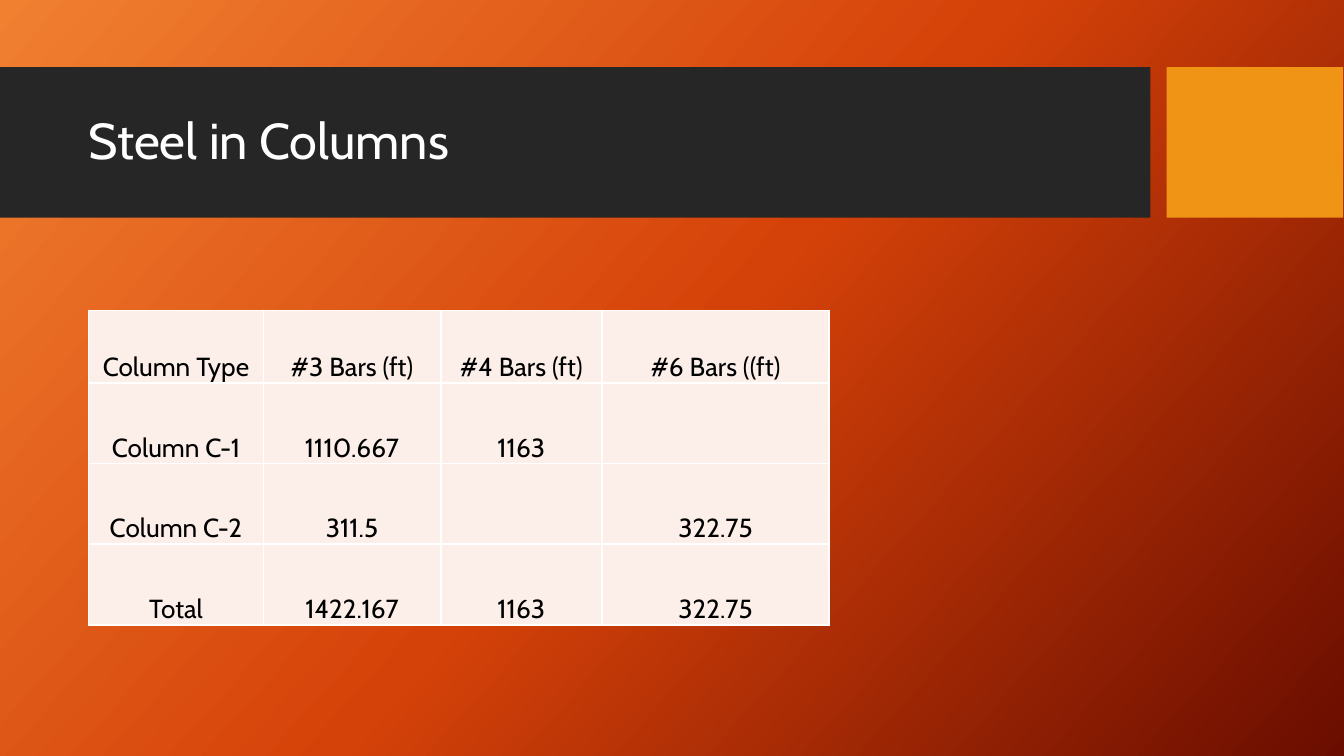
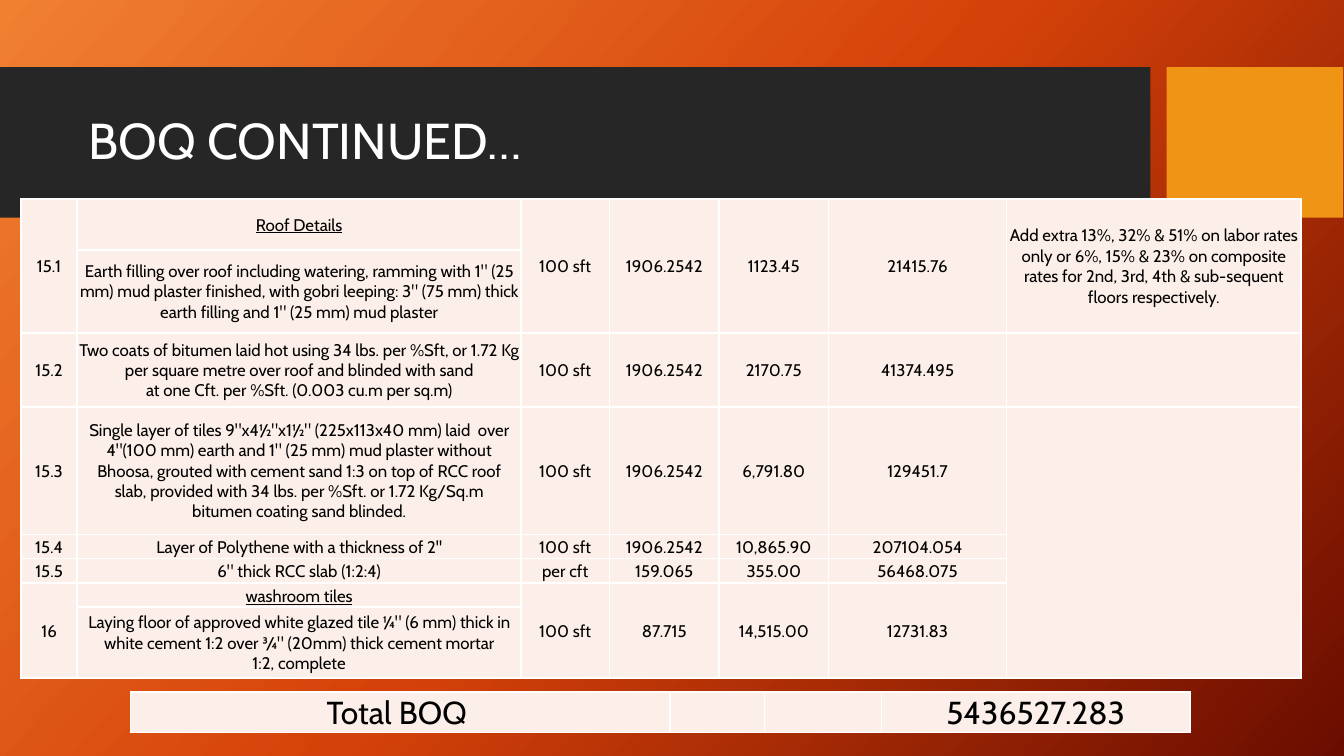
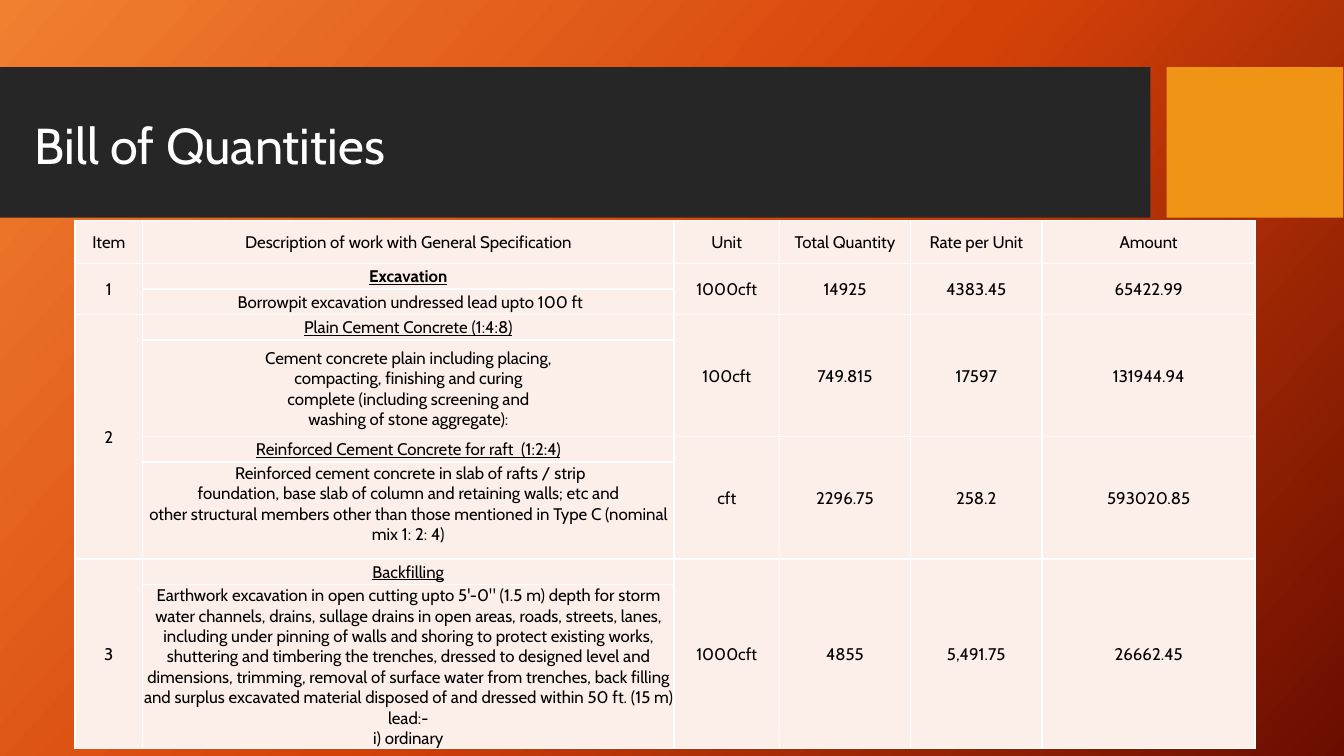
from copy import deepcopy

from lxml.etree import SubElement
from pptx import Presentation
from pptx.dml.color import RGBColor
from pptx.enum.shapes import MSO_SHAPE
from pptx.enum.text import MSO_ANCHOR, MSO_AUTO_SIZE, PP_ALIGN
from pptx.oxml.ns import qn
from pptx.util import Inches, Pt

WHITE = RGBColor(0xFF, 0xFF, 0xFF)
BLACK = RGBColor(0x00, 0x00, 0x00)
CHARCOAL = RGBColor(0x26, 0x26, 0x26)
AMBER = RGBColor(0xF0, 0x94, 0x15)
BLUSH = RGBColor(0xFC, 0xEE, 0xE8)
BACKDROP = (
    RGBColor(0xF1, 0x80, 0x31),
    RGBColor(0xD5, 0x42, 0x09),
    RGBColor(0x6A, 0x0D, 0x00),
)
FONT = "Cabin"
COLUMNS = 100
HEADING = {"underline": True}


def write(tf, text, size=9, color=BLACK, align=PP_ALIGN.CENTER,
          bold=False, underline=False, line_spacing=None):
    p = tf.paragraphs[0]
    p.text = text.replace("\n", "\v")
    p.alignment = align
    p.line_spacing = line_spacing
    for r in p.runs:
        r.font.name = FONT
        r.font.size = Pt(size)
        r.font.color.rgb = color
        r.font.bold = bold
        r.font.underline = underline
    for br in p._p.findall(qn("a:br")):
        br.append(deepcopy(p.runs[0].font._element))
    if not text:
        p._p.get_or_add_endParaRPr().set("sz", str(size * 100))


class Deck:
    def __init__(self):
        self.prs = Presentation()
        self.prs.slide_width = Inches(10)
        self.prs.slide_height = self.prs.slide_width * 9 // 16
        self.layout = self.prs.slide_layouts[5]
        self.s = None
        self.backdrop()

    def grid(self, *cells):
        return [round(n * self.prs.slide_width / COLUMNS) for n in cells]

    def backdrop(self):
        master = self.prs.slide_master
        fill = master.background.fill
        fill.gradient()
        stops = master.element.find(".//" + qn("a:gsLst"))
        stops.append(deepcopy(stops[-1]))
        for i, (stop, color) in enumerate(zip(fill.gradient_stops, BACKDROP)):
            stop.position = i / (len(BACKDROP) - 1)
            stop.color.rgb = color
        fill.gradient_angle = 360 - 42

    def band(self, at, color):
        sp = self.s.shapes.add_shape(MSO_SHAPE.RECTANGLE, *self.grid(*at))
        sp.shadow.inherit = False
        sp.fill.solid()
        sp.fill.fore_color.rgb = color
        sp.line.fill.background()
        self.layout.shapes.element.insert(2, sp._element)

    def slide(self, title, at=(5.6, 6.2, 78.9, 8.9)):
        first = self.s is None
        self.s = self.prs.slides.add_slide(self.layout)
        if first:
            self.band((0, 5, 85.6, 11.2), CHARCOAL)
            self.band((86.8, 5, 13.15, 11.2), AMBER)
        sp = self.s.shapes.title
        sp.left, sp.top, sp.width, sp.height = self.grid(*at)
        tf = sp.text_frame
        tf.auto_size = MSO_AUTO_SIZE.NONE
        tf.word_wrap = True
        tf.vertical_anchor = MSO_ANCHOR.MIDDLE
        write(tf, title, size=27, color=WHITE, align=PP_ALIGN.LEFT, line_spacing=0.9)

    def borders(self, cell):
        tc_pr = cell._tc.get_or_add_tcPr()
        for side in ("lnL", "lnR", "lnT", "lnB"):
            ln = SubElement(tc_pr, qn("a:" + side), w=str(Pt(1)))
            fill = SubElement(ln, qn("a:solidFill"))
            SubElement(fill, qn("a:srgbClr"), val=str(WHITE))

    def cell(self, cell, content, size, anchor):
        text, style = content if isinstance(content, tuple) else (content, {})
        style = {"size": size, "anchor": anchor, **style}
        cell.vertical_anchor = style.pop("anchor")
        cell.margin_left = cell.margin_right = cell.margin_top = Inches(0.01)
        cell.margin_bottom = 0
        self.borders(cell)
        cell.fill.solid()
        cell.fill.fore_color.rgb = BLUSH
        write(cell.text_frame, text or "", **style)

    def merge_down(self, tbl, rows):
        for j, column in enumerate(zip(*rows)):
            starts = [i for i, content in enumerate(column) if content is not None]
            for start, end in zip(starts, starts[1:] + [len(rows)]):
                if end - start > 1:
                    tbl.cell(start, j).merge(tbl.cell(end - 1, j))

    def table(self, left, top, widths, heights, rows, size=9, anchor=MSO_ANCHOR.MIDDLE):
        at = self.grid(left, top, sum(widths), sum(heights))
        tbl = self.s.shapes.add_table(len(rows), len(widths), *at).table
        tbl.first_row = tbl.horz_banding = False
        for column, width in zip(tbl.columns, self.grid(*widths)):
            column.width = width
        for row, height in zip(tbl.rows, self.grid(*heights)):
            row.height = height
        for i, row in enumerate(rows):
            for j, content in enumerate(row):
                self.cell(tbl.cell(i, j), content, size, anchor)
        self.merge_down(tbl, rows)


def steel_in_columns(deck):
    deck.slide("Steel in Columns")
    deck.table(6.6, 23.1, [13, 13.2, 12, 16.9], [5.4, 6, 6, 6], [
        ["Column Type", "#3 Bars (ft)", "#4 Bars (ft)", "#6 Bars ((ft)"],
        ["Column C-1", "1110.667", "1163", ""],
        ["Column C-2", "311.5", "", "322.75"],
        ["Total", "1422.167", "1163", "322.75"],
    ], size=14, anchor=MSO_ANCHOR.BOTTOM)


def boq_continued(deck):
    deck.slide("BOQ CONTINUED…")
    deck.table(
        1.55, 14.8,
        [4.2, 33, 6.6, 8.15, 8.15, 13.25, 21.9],
        [3.8, 6.1, 5.5, 9.5, 1.8, 1.8, 1.8, 5.3],
        [
            ["15.1", ("Roof Details", HEADING),
             "100 sft", "1906.2542", "1123.45", "21415.76",
             "Add extra 13%, 32% & 51% on labor rates only or 6%, 15% & 23% on composite "
             "rates for 2nd, 3rd, 4th & sub-sequent floors respectively."],
            [None,
             'Earth filling over roof including watering, ramming with 1" (25 mm) mud plaster '
             'finished, with gobri leeping: 3" (75 mm) thick earth filling and 1" (25 mm) '
             "mud plaster",
             None, None, None, None, None],
            ["15.2",
             "Two coats of bitumen laid hot using 34 lbs. per %Sft, or 1.72 Kg per square "
             "metre over roof and blinded with sand\n"
             "at one Cft. per %Sft. (0.003 cu.m per sq.m)",
             "100 sft", "1906.2542", "2170.75", "41374.495", ""],
            ["15.3",
             'Single layer of tiles 9"x4½"x1½" (225x113x40 mm) laid  over 4"(100 mm) earth '
             'and 1" (25 mm) mud plaster without\n'
             "Bhoosa, grouted with cement sand 1:3 on top of RCC roof\n"
             "slab, provided with 34 lbs. per %Sft. or 1.72 Kg/Sq.m\n"
             "bitumen coating sand blinded.",
             "100 sft", "1906.2542", "6,791.80", "129451.7", ""],
            ["15.4", "Layer of Polythene with a thickness of 2''",
             "100 sft", "1906.2542", "10,865.90", "207104.054", None],
            ["15.5", '6" thick RCC slab (1:2:4)',
             "per cft", "159.065", "355.00", "56468.075", None],
            ["16", ("washroom tiles", {**HEADING, "anchor": MSO_ANCHOR.BOTTOM}),
             "100 sft", "87.715", "14,515.00", "12731.83", None],
            [None,
             'Laying floor of approved white glazed tile ¼" (6 mm) thick in white cement '
             '1:2 over ¾" (20mm) thick cement mortar\n1:2, complete',
             None, None, None, None, None],
        ])
    deck.table(9.7, 51.5, [40.15, 7.05, 8.7, 22.95], [2.9],
               [["Total BOQ ", "", "", "5436527.283"]], size=17)


def bill_of_quantities(deck):
    deck.slide("Bill of Quantities", at=(1.6, 5.6, 86.3, 10.9))
    deck.table(
        5.6, 16.4,
        [5, 39.55, 7.85, 9.75, 9.8, 15.85],
        [3.2, 1.9, 1.9, 1.9, 7.2, 1.9, 7.2, 1.9, 11.3],
        [
            ["Item", "Description of work with General Specification",
             "Unit", "Total Quantity", "Rate per Unit", "Amount"],
            ["1", ("Excavation", {**HEADING, "bold": True}),
             "1000cft", "14925", "4383.45", "65422.99"],
            [None, " Borrowpit excavation undressed lead upto 100 ft",
             None, None, None, None],
            ["2", ("Plain Cement Concrete (1:4:8)", HEADING),
             "100cft", "749.815", "17597", "131944.94"],
            [None,
             "Cement concrete plain including placing,\n"
             "compacting, finishing and curing\n"
             "complete (including screening and\n"
             "washing of stone aggregate):",
             None, None, None, None],
            [None, ("Reinforced Cement Concrete for raft  (1:2:4)", HEADING),
             "cft", "2296.75", "258.2", "593020.85"],
            [None,
             (" Reinforced cement concrete in slab of rafts / strip\n"
              "foundation, base slab of column and retaining walls; etc and\n"
              "other structural members other than those mentioned in Type C "
              "(nominal mix 1: 2: 4)", {"anchor": MSO_ANCHOR.TOP}),
             None, None, None, None],
            ["3", ("Backfilling", HEADING),
             "1000cft", "4855", "5,491.75", "26662.45"],
            [None,
             "Earthwork excavation in open cutting upto 5'-0\" (1.5 m) depth for storm water "
             "channels, drains, sullage drains in open areas, roads, streets, lanes, including "
             "under pinning of walls and shoring to protect existing works, shuttering and "
             "timbering the trenches, dressed to designed level and dimensions, trimming, "
             "removal of surface water from trenches, back filling and surplus excavated "
             "material disposed of and dressed within 50 ft. (15 m) lead:-\ni) ordinary",
             None, None, None, None],
        ])


def main():
    deck = Deck()
    steel_in_columns(deck)
    boq_continued(deck)
    bill_of_quantities(deck)
    deck.prs.save("out.pptx")


if __name__ == "__main__":
    main()
